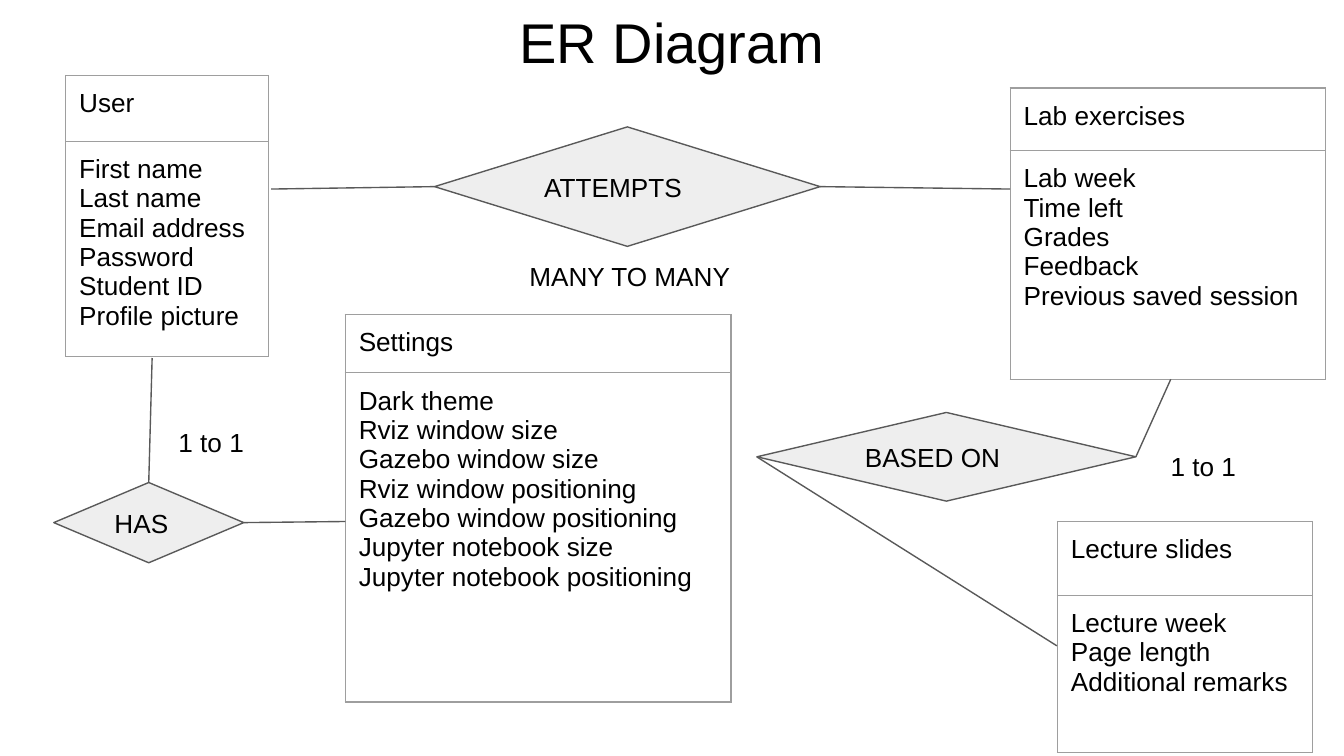
"""Build an entity-relationship diagram slide."""
from lxml import etree
from pptx import Presentation
from pptx.dml.color import RGBColor
from pptx.enum.shapes import MSO_CONNECTOR, MSO_SHAPE
from pptx.enum.text import MSO_ANCHOR, PP_ALIGN
from pptx.oxml.ns import qn
from pptx.util import Pt

STRAIGHT = MSO_CONNECTOR.STRAIGHT
DECISION = MSO_SHAPE.FLOWCHART_DECISION
TOP, MIDDLE, BOTTOM = MSO_ANCHOR.TOP, MSO_ANCHOR.MIDDLE, MSO_ANCHOR.BOTTOM
LEFT, CENTER = PP_ALIGN.LEFT, PP_ALIGN.CENTER
INSET = Pt(7.2)
BLACK, DARK_GRAY, BORDER_GRAY, PALE_GRAY = "000000", "595959", "9E9E9E", "EEEEEE"


def color(hex_value):
    return RGBColor.from_string(hex_value)


def write(frame, lines, size=14, alignment=LEFT):
    frame.word_wrap = True
    for index, line in enumerate(lines):
        paragraph = frame.paragraphs[0] if index == 0 else frame.add_paragraph()
        paragraph.alignment = alignment
        run = paragraph.add_run()
        run.text = line
        run.font.name = "Arial"
        run.font.size = Pt(size)
        run.font.color.rgb = color(BLACK)


presentation = Presentation()
presentation.slide_width = Pt(720)
presentation.slide_height = Pt(405)
slide = presentation.slides.add_slide(presentation.slide_layouts[6])

labels = [
    ("ER Diagram", 24.5, 0, 671, 47.5, 30, CENTER, BOTTOM),
    ("MANY TO MANY", 276.5, 132.5, 209.5, 35.3, 14, LEFT, TOP),
    ("1 to 1", 88.5, 221, 90, 14.4, 14, LEFT, TOP),
    ("1 to 1", 620, 234, 90, 14.4, 14, LEFT, TOP),
]
for text, left, top, width, height, size, alignment, anchor in labels:
    label = slide.shapes.add_textbox(Pt(left), Pt(top), Pt(width), Pt(height))
    frame = label.text_frame
    frame.margin_left = frame.margin_right = INSET
    frame.margin_top = frame.margin_bottom = INSET
    frame.vertical_anchor = anchor
    write(frame, [text], size, alignment)

entities = [
    ("User", 35.2, 40.4, 108.7, (35.3, 113),
     ["First name", "Last name", "Email address", "Password", "Student ID",
      "Profile picture"]),
    ("Settings", 185, 168.5, 206.6, (30.4, 176.4),
     ["Dark theme", "Rviz window size", "Gazebo window size",
      "Rviz window positioning", "Gazebo window positioning",
      "Jupyter notebook size", "Jupyter notebook positioning"]),
    ("Lab exercises", 541.2, 47.2, 168.8, (33.5, 122.5),
     ["Lab week", "Time left", "Grades", "Feedback", "Previous saved session"]),
    ("Lecture slides", 566.5, 279.3, 136.7, (39.7, 84.2),
     ["Lecture week", "Page length", "Additional remarks"]),
]
for name, left, top, width, row_heights, attributes in entities:
    table = slide.shapes.add_table(
        2, 1, Pt(left), Pt(top), Pt(width), Pt(sum(row_heights))).table
    table.first_row = False
    table.horz_banding = False
    table.columns[0].width = Pt(width)
    for row, row_height, lines in zip(table.rows, row_heights, ([name], attributes)):
        row.height = Pt(row_height)
        cell = row.cells[0]
        cell.margin_left = cell.margin_right = INSET
        cell.margin_top = cell.margin_bottom = INSET
        write(cell.text_frame, lines)
        properties = cell._tc.get_or_add_tcPr()
        for side in ("a:lnL", "a:lnR", "a:lnT", "a:lnB"):
            border = etree.SubElement(properties, qn(side), w=str(Pt(0.75)))
            border_fill = etree.SubElement(border, qn("a:solidFill"))
            etree.SubElement(border_fill, qn("a:srgbClr"), val=BORDER_GRAY)
        cell.fill.background()

relationships = [
    ("HAS", 28.8, 258.5, 101.8, 43),
    ("ATTEMPTS", 232.8, 68, 206.6, 64),
    ("BASED ON", 405.5, 221, 203, 47.5),
]
for name, left, top, width, height in relationships:
    diamond = slide.shapes.add_shape(
        DECISION, Pt(left), Pt(top), Pt(width), Pt(height))
    diamond.shadow.inherit = False
    diamond.fill.solid()
    diamond.fill.fore_color.rgb = color(PALE_GRAY)
    diamond.line.color.rgb = color(DARK_GRAY)
    diamond.line.width = Pt(0.75)
    frame = diamond.text_frame
    frame.margin_left = frame.margin_right = INSET
    frame.margin_top = frame.margin_bottom = INSET
    frame.vertical_anchor = MIDDLE
    write(frame, [name])

links = [
    (81.5, 191.8, 79.7, 258.5),
    (130.6, 280, 185, 279.4),
    (145.3, 101.3, 232.8, 100),
    (439.4, 100, 541.2, 101.3),
    (627.2, 203.2, 608.5, 244.8),
    (405.5, 244.8, 566.2, 346),
]
for start_x, start_y, end_x, end_y in links:
    link = slide.shapes.add_connector(
        STRAIGHT, Pt(start_x), Pt(start_y), Pt(end_x), Pt(end_y))
    link.line.color.rgb = color(DARK_GRAY)
    link.line.width = Pt(0.75)
    etree.SubElement(link._element.spPr, qn("a:effectLst"))

presentation.save("out.pptx")
